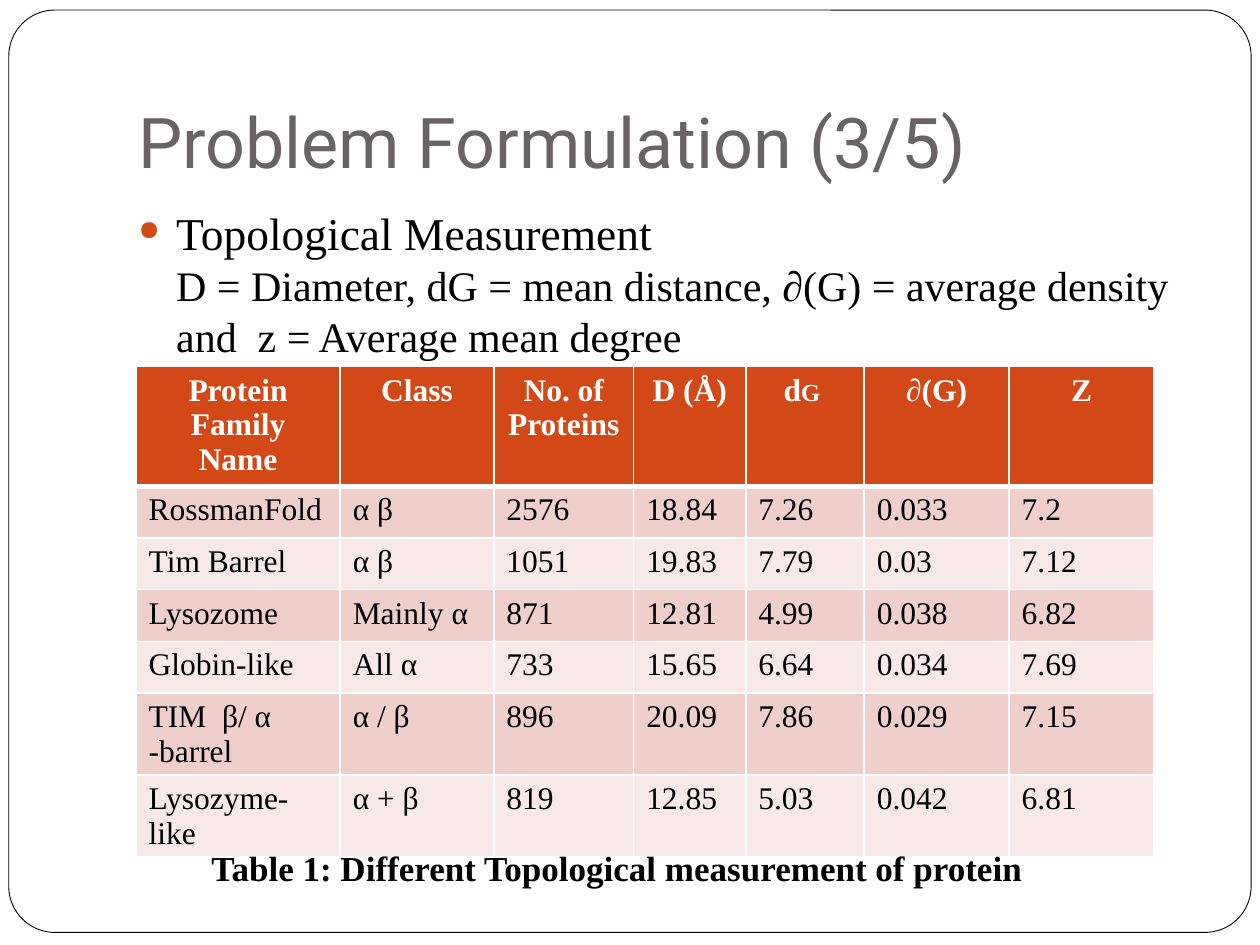
from dataclasses import dataclass

from lxml import etree
from pptx import Presentation
from pptx.dml.color import RGBColor
from pptx.enum.shapes import MSO_SHAPE
from pptx.enum.text import MSO_ANCHOR, MSO_AUTO_SIZE, PP_ALIGN
from pptx.oxml.ns import qn
from pptx.util import Emu, Pt

ROUNDED = MSO_SHAPE.ROUNDED_RECTANGLE
BOTTOM = MSO_ANCHOR.BOTTOM
LEFT, CENTER = PP_ALIGN.LEFT, PP_ALIGN.CENTER
NO_FIT, GROW = MSO_AUTO_SIZE.NONE, MSO_AUTO_SIZE.SHAPE_TO_FIT_TEXT
EMU_PER_PX = 9144
TITLE_ONLY = 5


@dataclass(frozen=True)
class Theme:
    heading_font: str = "Roboto"
    body_font: str = "Times New Roman"
    heading: str = "696464"
    text: str = "000000"
    paper: str = "FFFFFF"
    accent: str = "D34817"
    bands: tuple = ("EFCFCC", "F7E9E8")
    title_size: int = 40
    bullet_size: int = 26
    detail_size: int = 24
    caption_size: int = 20
    table_size: int = 18
    subscript_size: int = 14


THEME = Theme()

HEADERS = ["Protein Family Name", "Class", "No. of Proteins", "D (Å)", "d", "∂(G)", "Z"]
SUBSCRIPTS = {"d": "G "}
PROTEINS = [
    ["RossmanFold", "α β", "2576", "18.84", "7.26", "0.033", "7.2"],
    ["Tim Barrel", "α β", "1051", "19.83", "7.79", "0.03", "7.12"],
    ["Lysozome", "Mainly α", "871", "12.81", "4.99", "0.038", "6.82"],
    ["Globin-like", "All α", "733", "15.65", "6.64", "0.034", "7.69"],
    ["TIM  β/ α -barrel", "α / β", "896", "20.09", "7.86", "0.029", "7.15"],
    ["Lysozyme-like", "α + β", "819", "12.85", "5.03", "0.042", "6.81"],
]
COLUMN_WIDTHS = [162, 122, 111, 89, 94, 115, 115]
ROW_HEIGHTS = [91, 41, 41, 41, 41, 65, 65]


def px(length):
    return Emu(length * EMU_PER_PX)


def color(value):
    return RGBColor.from_string(value)


def format_run(run, size, fill, font=THEME.body_font, bold=False):
    run.font.name = font
    run.font.size = Pt(size)
    run.font.bold = bold
    run.font.color.rgb = color(fill)


def add_text_box(slide, box, text):
    shape = slide.shapes.add_textbox(*map(px, box))
    shape.text_frame.word_wrap = True
    shape.text_frame.text = text
    return shape.text_frame


def add_title(slide, box, text):
    title = slide.shapes.title
    title.left, title.top, title.width, title.height = map(px, box)
    frame = title.text_frame
    frame.text = text
    frame.auto_size = NO_FIT
    frame.vertical_anchor = BOTTOM
    frame.margin_bottom = px(10)
    paragraph = frame.paragraphs[0]
    paragraph.alignment = LEFT
    format_run(paragraph.runs[0], THEME.title_size, THEME.heading, THEME.heading_font)


def add_frame(slide, box):
    frame = slide.shapes.add_shape(ROUNDED, *map(px, box))
    frame.adjustments[0] = 0.05
    frame.shadow.inherit = False
    frame.fill.solid()
    frame.fill.fore_color.rgb = color(THEME.paper)
    frame.line.color.rgb = color(THEME.text)
    frame.line.width = Pt(0.5)
    slide.shapes.title.element.addprevious(frame.element)


def add_bullet(paragraph, indent):
    properties = paragraph._p.get_or_add_pPr()
    properties.set("marL", str(px(indent)))
    properties.set("indent", str(px(-indent)))
    bullet_color = etree.SubElement(properties, qn("a:buClr"))
    etree.SubElement(bullet_color, qn("a:srgbClr"), val=THEME.accent)
    etree.SubElement(properties, qn("a:buSzPct"), val="60000")
    etree.SubElement(properties, qn("a:buChar"), char="●")


def add_definitions(slide, box, heading, detail):
    paragraph = add_text_box(slide, box, f"{heading}\v{detail}").paragraphs[0]
    paragraph.space_before = Pt(5.8)
    add_bullet(paragraph, 30)
    for run, size in zip(paragraph.runs, (THEME.bullet_size, THEME.detail_size)):
        format_run(run, size, THEME.text)


def set_borders(cell, top, bottom):
    properties = cell._tc.get_or_add_tcPr()
    for side, width in (("L", 1), ("R", 1), ("T", top), ("B", bottom)):
        line = etree.SubElement(properties, qn(f"a:ln{side}"), w=str(Pt(width)))
        fill = etree.SubElement(line, qn("a:solidFill"))
        etree.SubElement(fill, qn("a:srgbClr"), val=THEME.paper)


def fill_cell(cell, text, row):
    is_header = row == 0
    set_borders(cell, 3 if row == 1 else 1, 3 if is_header else 1)
    cell.margin_top = px(5)
    cell.margin_bottom = px(0)
    cell.fill.solid()
    background = THEME.accent if is_header else THEME.bands[(row - 1) % 2]
    cell.fill.fore_color.rgb = color(background)
    cell.text_frame.text = text
    paragraph = cell.text_frame.paragraphs[0]
    paragraph.alignment = CENTER if is_header else LEFT
    foreground = THEME.paper if is_header else THEME.text
    format_run(paragraph.runs[0], THEME.table_size, foreground, bold=is_header)
    if is_header and text in SUBSCRIPTS:
        run = paragraph.add_run()
        run.text = SUBSCRIPTS[text]
        format_run(run, THEME.subscript_size, foreground, bold=True)


def add_protein_table(slide, left, top):
    rows = [HEADERS, *PROTEINS]
    box = (left, top, sum(COLUMN_WIDTHS), sum(ROW_HEIGHTS))
    table = slide.shapes.add_table(len(rows), len(HEADERS), *map(px, box)).table
    table.horz_banding = False
    for column, width in zip(table.columns, COLUMN_WIDTHS):
        column.width = px(width)
    for row, (values, height) in enumerate(zip(rows, ROW_HEIGHTS)):
        table.rows[row].height = px(height)
        for column, text in enumerate(values):
            fill_cell(table.cell(row, column), text, row)


def add_caption(slide, box, text):
    frame = add_text_box(slide, box, text)
    frame.auto_size = GROW
    format_run(frame.paragraphs[0].runs[0], THEME.caption_size, THEME.text, bold=True)


def main():
    presentation = Presentation()
    presentation.slide_width, presentation.slide_height = px(1000), px(750)
    slide = presentation.slides.add_slide(presentation.slide_layouts[TITLE_ONLY])
    add_title(slide, (100, 30, 850, 125), "Problem Formulation (3/5)")
    add_frame(slide, (7, 8, 986, 732))
    add_definitions(
        slide,
        (100, 158, 850, 500),
        "Topological Measurement",
        "D = Diameter, dG = mean distance, ∂(G) = average density and  z = Average mean degree",
    )
    add_protein_table(slide, 108, 291)
    add_caption(
        slide,
        (158, 667, 683, 44),
        "Table 1: Different Topological measurement of protein",
    )
    presentation.save("out.pptx")


if __name__ == "__main__":
    main()
